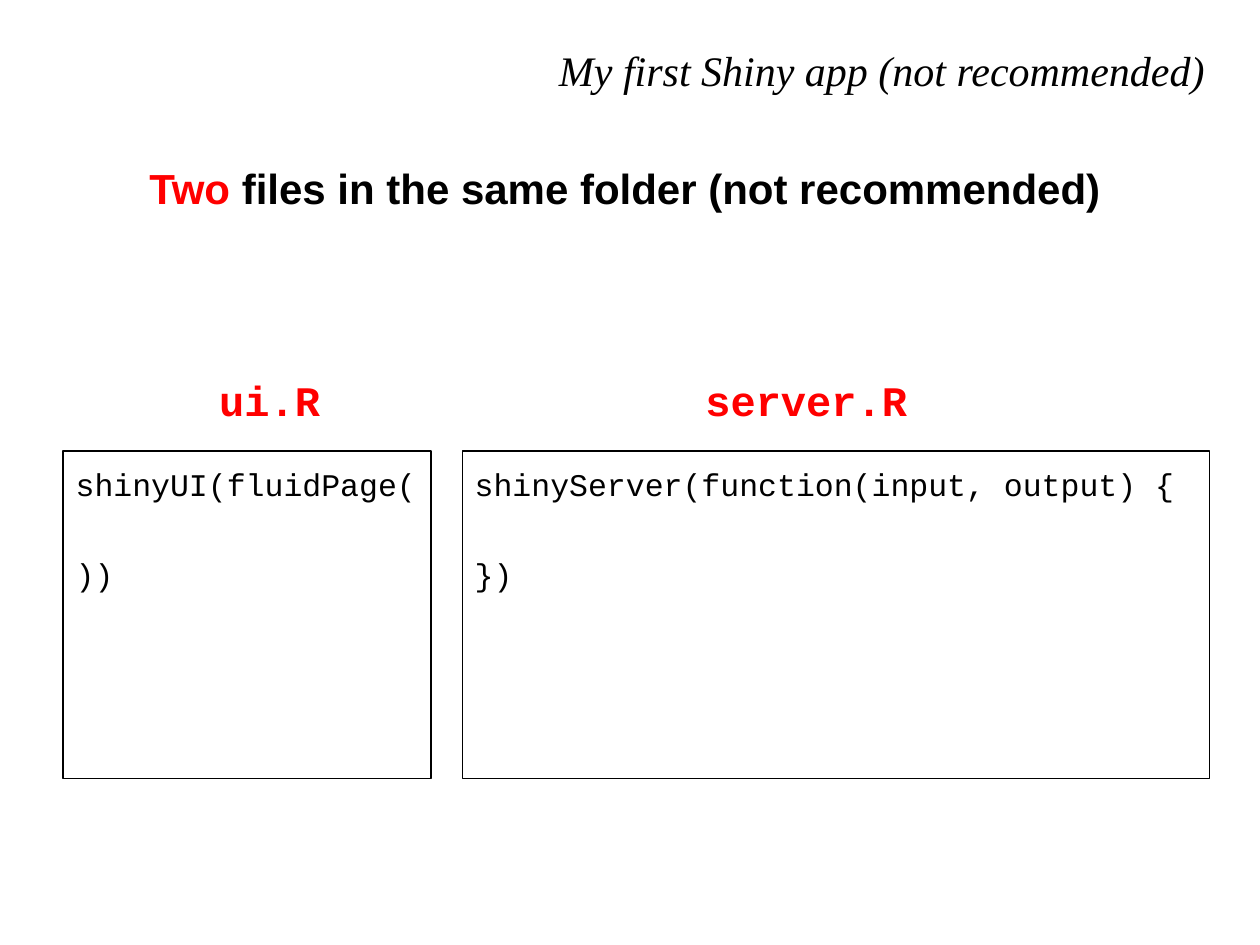
import pptx
import pptx.dml.color
import pptx.enum.shapes
import pptx.enum.text
import pptx.oxml.ns
import pptx.util
import lxml.etree

Cm = pptx.util.Cm
Pt = pptx.util.Pt
ALIGN = pptx.enum.text.PP_ALIGN
COLORS = {"text": "000000", "accent": "FF0000"}


def style(run, font, size, color, bold=False, italic=False):
    run.font.name = font
    run.font.size = Pt(size)
    run.font.bold = bold
    run.font.italic = italic
    run.font.color.rgb = pptx.dml.color.RGBColor.from_string(COLORS[color])


def place(shape, left, top, width, height):
    shape.left, shape.top = Cm(left), Cm(top)
    shape.width, shape.height = Cm(width), Cm(height)


deck = pptx.Presentation()
deck.slide_width, deck.slide_height = Cm(25.4), Cm(19.05)
slide = deck.slides.add_slide(deck.slide_layouts[1])

title = slide.shapes.title
place(title, 0.69, 0.76, 23.85, 1.27)
title.text_frame.text = "My first Shiny app (not recommended)"
title.text_frame.auto_size = pptx.enum.text.MSO_AUTO_SIZE.NONE
title.text_frame.vertical_anchor = pptx.enum.text.MSO_ANCHOR.MIDDLE
title.text_frame.paragraphs[0].alignment = ALIGN.RIGHT
style(title.text_frame.paragraphs[0].runs[0], "Times New Roman", 24, "text", italic=True)

heading = slide.shapes.add_textbox(Cm(1.27), Cm(3.15), Cm(22.66), Cm(1.27))
heading.text_frame.word_wrap = True
heading_line = heading.text_frame.paragraphs[0]
heading_line.alignment = ALIGN.CENTER
for words, color in (("Two", "accent"), (" files in the same folder (not recommended)", "text")):
    heading_run = heading_line.add_run()
    heading_run.text = words
    style(heading_run, "Arial", 24, color, bold=True)

ui_code = slide.placeholders[1]
server_code = slide.shapes.add_shape(
    pptx.enum.shapes.MSO_SHAPE.RECTANGLE, Cm(9.32), Cm(9.09), Cm(15.06), Cm(6.6)
)
server_code.shadow.inherit = False
files = [
    ("ui.R", 4.17, 2.57, ui_code, 1.27, 7.42, ["shinyUI(fluidPage(", "))"]),
    ("server.R", 13.97, 4.6, server_code, 9.32, 15.06,
     ["shinyServer(function(input, output) {", "})"]),
]
for file_name, name_left, name_width, code, left, width, lines in files:
    label = slide.shapes.add_textbox(Cm(name_left), Cm(7.42), Cm(name_width), Cm(1.27))
    label.text_frame.word_wrap = False
    label.text_frame.text = file_name
    style(label.text_frame.paragraphs[0].runs[0], "Courier New", 24, "accent", bold=True)

    place(code, left, 9.09, width, 6.6)
    code.fill.background()
    code.line.color.rgb = pptx.dml.color.RGBColor.from_string(COLORS["text"])
    code.line.width = Pt(0.75)
    frame = code.text_frame
    frame.text = "\n".join(lines)
    frame.word_wrap = True
    frame.auto_size = pptx.enum.text.MSO_AUTO_SIZE.NONE
    frame.vertical_anchor = pptx.enum.text.MSO_ANCHOR.TOP
    frame.margin_top = Cm(0.28)
    for number, line in enumerate(frame.paragraphs):
        properties = line._p.get_or_add_pPr()
        properties.set("marL", "0")
        properties.set("indent", "0")
        lxml.etree.SubElement(properties, pptx.oxml.ns.qn("a:buNone"))
        line.alignment = ALIGN.LEFT
        line.space_before = Pt(30 * number)
        style(line.runs[0], "Courier New", 18, "text")

deck.save("out.pptx")
